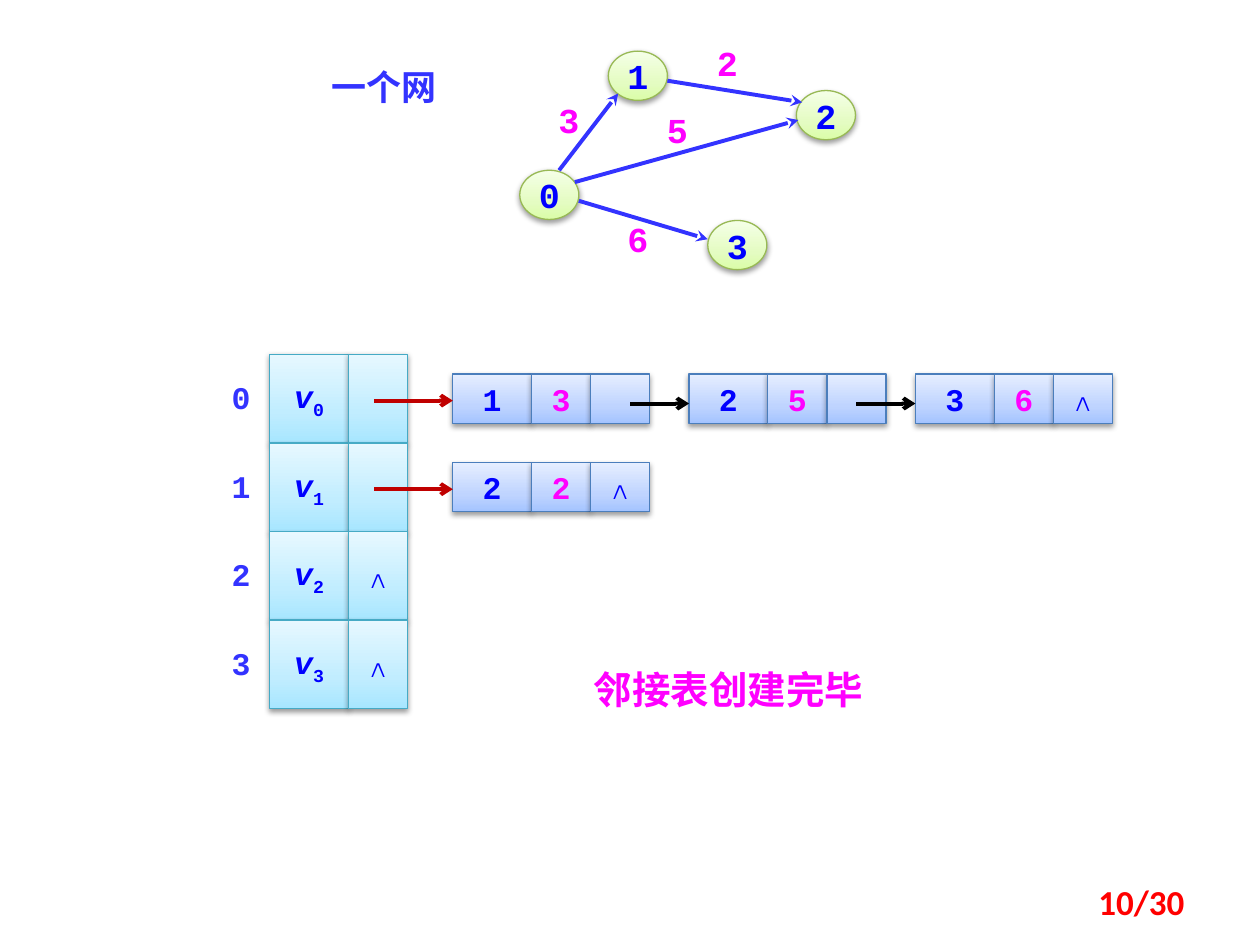
from lxml import etree
from pptx import Presentation
from pptx import oxml
from pptx import util as u
from pptx.dml.color import RGBColor
from pptx.enum import shapes as s, text as t
from pptx.oxml import ns

# A grid of 64 columns; rows are as tall as columns are wide
WIDTH, HEIGHT = u.Inches(10), u.Inches(7.5)
COLUMN = WIDTH / 64
MONO, CHINESE = "Courier New", "Noto Sans CJK SC"
BLUE, VIOLET, PINK, RED, BLACK = "0000FF", "3333FF", "FF00FF", "C00000", "000000"
NIL = "∧"
# Gradient stops from bottom to top, then the outline
CYAN_STYLE = ("A7E6FF", "C1EDFF", "E7F8FF", "46AAC5")
BLUE_STYLE = ("A4C4FF", "BFD4FF", "E6EEFF", "4B7EBC")
GREEN_STYLE = ("DAFDA7", "E4FCC2", "F5FFE7", "98B955")


def colour(value):
    return RGBColor.from_string(value)


def grid(*counts):
    return [u.Emu(round(count * COLUMN)) for count in counts]


def write(shape, content, size, hue, font=MONO, bold=True,
          align=t.PP_ALIGN.CENTER, subscript=None):
    paragraph = shape.text_frame.paragraphs[0]
    paragraph.alignment = align
    run = paragraph.add_run()
    run.text = content
    runs = [run]
    if subscript is not None:
        run.font.italic = True
        lower = paragraph.add_run()
        lower.text = subscript
        lower.font._element.set("baseline", "-25000")
        runs.append(lower)
    paragraph.font.size = u.Pt(size)
    paragraph.font.name = font
    paragraph.font.bold = bold
    paragraph.font.color.rgb = colour(hue)
    for run in runs:
        east_asian = etree.SubElement(run.font._element, ns.qn("a:ea"))
        east_asian.set("typeface", CHINESE)


def add_label(shapes, box, content, size, hue, inset=0.0, **options):
    label = shapes.add_textbox(*grid(*box))
    frame = label.text_frame
    frame.word_wrap = True
    if not inset:
        frame.margin_left = frame.margin_right = 0
        frame.margin_top = frame.margin_bottom = 0
    write(label, content, size, hue, **options)
    return label


def add_cell(shapes, box, style, content="", size=18, hue=BLUE,
             kind=s.MSO_SHAPE.RECTANGLE, subscript=None):
    """Draw a softly shaded shape with a small drop shadow."""
    cell = shapes.add_shape(kind, *grid(*box))
    cell.line.color.rgb = colour(style[3])
    cell.line.width = u.Pt(0.75)
    cell.shadow.inherit = False
    cell.fill.background()
    properties = cell._element.spPr
    stops = "".join(
        f'<a:gs pos="{place}"><a:srgbClr val="{value}"/></a:gs>'
        for place, value in zip((0, 35000, 100000), style))
    gradient = oxml.parse_xml(
        f'<a:gradFill {ns.nsdecls("a")} rotWithShape="1"><a:gsLst>{stops}</a:gsLst>'
        '<a:lin ang="16200000" scaled="0"/></a:gradFill>')
    properties.replace(properties.find(ns.qn("a:noFill")), gradient)
    shadow = oxml.parse_xml(
        f'<a:outerShdw {ns.nsdecls("a")} blurRad="40000" dist="20000" dir="5400000" '
        'rotWithShape="0"><a:srgbClr val="000000"><a:alpha val="38000"/>'
        '</a:srgbClr></a:outerShdw>')
    properties.find(ns.qn("a:effectLst")).append(shadow)
    cell.text_frame.word_wrap = False
    cell.text_frame.vertical_anchor = t.MSO_ANCHOR.MIDDLE
    if content:
        write(cell, content, size, hue, subscript=subscript)


def add_arrow(shapes, start, end, hue, head="arrow"):
    arrow = shapes.add_connector(s.MSO_CONNECTOR.STRAIGHT, *grid(*start, *end))
    arrow.line.color.rgb = colour(hue)
    arrow.line.width = u.Pt(2.25)
    tip = etree.SubElement(arrow.line._get_or_add_ln(), ns.qn("a:tailEnd"))
    tip.set("type", head)
    etree.SubElement(arrow._element.spPr, ns.qn("a:effectLst"))


def draw_network(shapes, left, top):
    nodes = {"1": (4.5, 0), "2": (14.05, 2), "0": (0, 6.05), "3": (9.55, 8.6)}
    # Start, end, weight, and top left corner of the weight
    edges = [((2, 6.05), (5, 2.15), "3", (1, 2.4)),
             ((3, 7.6), (9.55, 9.55), "6", (4.5, 8.45)),
             ((2.8, 6.65), (14.15, 3.5), "5", (6.5, 2.9)),
             ((7.5, 1.5), (14.35, 2.6), "2", (9.05, -0.5))]
    for name, (x, y) in nodes.items():
        add_cell(shapes, (left + x, top + y, 3, 2.5), GREEN_STYLE, name, 20,
                 kind=s.MSO_SHAPE.OVAL)
    for start, end, weight, (x, y) in edges:
        add_arrow(shapes, (left + start[0], top + start[1]),
                  (left + end[0], top + end[1]), VIOLET, "stealth")
        add_label(shapes, (left + x, top + y, 3, 2.1), weight, 20, PINK)


def draw_vertex_table(shapes, left, top, row_height, links):
    for index, link in enumerate(links):
        y = top + index * row_height
        add_cell(shapes, (left, y, 4, row_height), CYAN_STYLE, "v",
                 subscript=str(index))
        add_cell(shapes, (left + 4, y, 3, row_height), CYAN_STYLE, link)
        add_label(shapes, (left - 2.7, y + 1.2, 2.5, 1.9), str(index), 18, VIOLET)


def draw_edge_list(shapes, top, entries):
    """Draw one linked list; each entry is (left, vertex, weight)."""
    for index, (left, vertex, weight) in enumerate(entries):
        link = NIL if index == len(entries) - 1 else ""
        cells = [(0, 4, vertex, BLUE), (4, 3, weight, PINK), (7, 3, link, BLUE)]
        for offset, width, content, hue in cells:
            add_cell(shapes, (left + offset, top, width, 2.5), BLUE_STYLE,
                     content, hue=hue)
    for index, (left, _, _) in enumerate(entries):
        length, drop, hue = (3, 1.5, BLACK) if index else (4, 1.35, RED)
        add_arrow(shapes, (left - length, top + drop), (left, top + drop), hue)


def main():
    presentation = Presentation()
    presentation.slide_width, presentation.slide_height = WIDTH, HEIGHT
    slide = presentation.slides.add_slide(presentation.slide_layouts[6])
    shapes = slide.shapes

    # Weighted directed graph
    add_label(shapes, (15, 3, 9, 2.8), "一个网", 20, VIOLET, inset=0.1)
    draw_network(shapes, 26.4, 2.6)

    # Adjacency list: vertex table and its linked lists
    draw_vertex_table(shapes.add_group_shape().shapes, 13.7, 18, 4.5,
                      ("", "", NIL, NIL))
    lists = [[(23, "1", "3"), (35, "2", "5"), (46.5, "3", "6")],
             [(23, "2", "2")]]
    for row, entries in enumerate(lists):
        draw_edge_list(shapes.add_group_shape().shapes, 19 + row * 4.5, entries)

    # Caption and page number
    caption = add_label(shapes, (27, 33.5, 20, 3), "邻接表创建完毕", 22, PINK,
                        inset=0.1, font=CHINESE)
    caption.fill.solid()
    caption.fill.fore_color.rgb = colour("FFFFFF")
    page = add_label(shapes, (45.9, 44.5, 14.9, 2.55), "10/30", 20, "FF0000",
                     inset=0.1, font="Calibri", align=t.PP_ALIGN.RIGHT)
    page.text_frame.vertical_anchor = t.MSO_ANCHOR.MIDDLE

    presentation.save("out.pptx")


if __name__ == "__main__":
    main()
